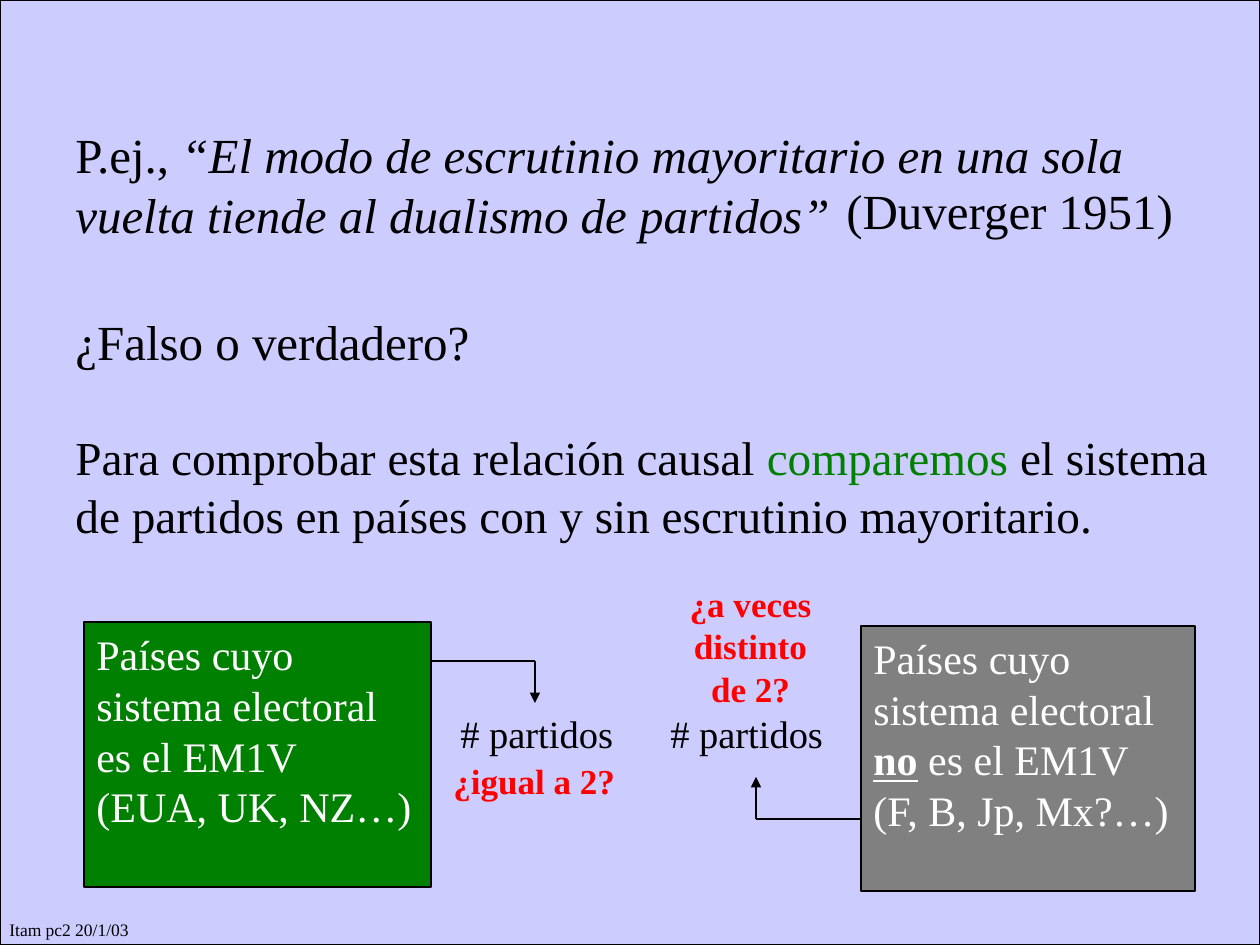
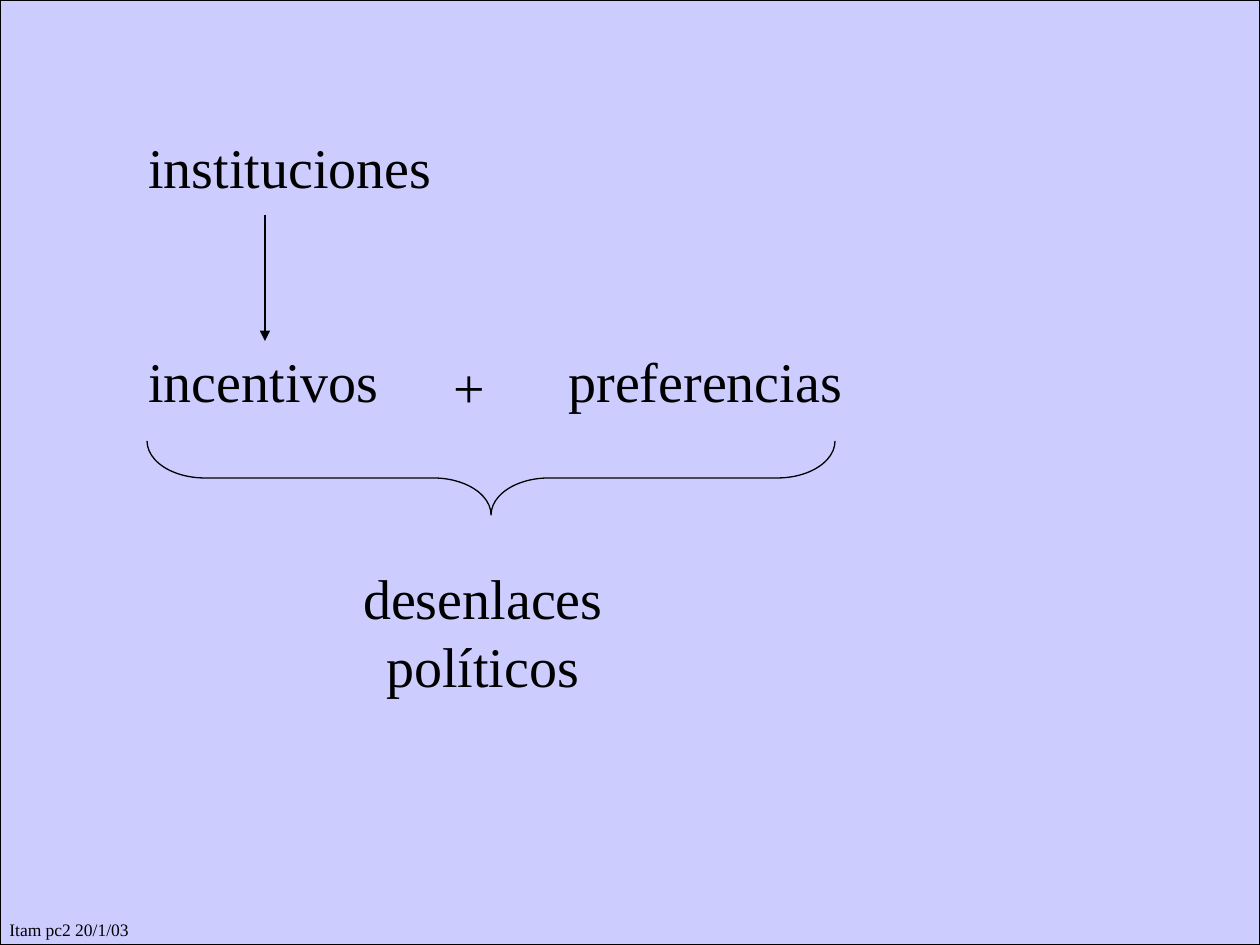
from dataclasses import dataclass, field

from lxml import etree
from pptx import Presentation
from pptx.dml.color import RGBColor
from pptx.enum.shapes import MSO_CONNECTOR, MSO_SHAPE
from pptx.enum.text import MSO_ANCHOR, PP_ALIGN
from pptx.oxml.ns import qn
from pptx.util import Emu, Pt

RECTANGLE = MSO_SHAPE.RECTANGLE
BRACE = MSO_SHAPE.RIGHT_BRACE
STRAIGHT = MSO_CONNECTOR.STRAIGHT
TOP = MSO_ANCHOR.TOP
LEFT, CENTER = PP_ALIGN.LEFT, PP_ALIGN.CENTER

LAVENDER = RGBColor(0xCC, 0xCC, 0xFF)
BLACK = RGBColor(0x00, 0x00, 0x00)
WHITE = RGBColor(0xFF, 0xFF, 0xFF)
GREEN = RGBColor(0x00, 0x80, 0x00)
GRAY = RGBColor(0x80, 0x80, 0x80)
RED = RGBColor(0xFF, 0x00, 0x00)

PX_PER_INCH = 126
SLIDE_W, SLIDE_H = 1260, 945
FONT = "Times New Roman"
LINE_HEIGHT = 1.21
LINE_WIDTH = Pt(0.75)
BLANK_LAYOUT = 6


@dataclass
class Run:
    text: str
    style: dict = field(default_factory=dict)


@dataclass
class Para:
    runs: list[Run]
    size: int
    color: RGBColor = BLACK
    align: PP_ALIGN = LEFT
    bold: bool = False
    space_before: int = 0


@dataclass
class Box:
    left: int
    top: int
    width: int
    height: int
    paras: list[Para]
    fill: RGBColor | None = None


@dataclass
class Line:
    start: tuple[int, int]
    end: tuple[int, int]
    arrow: bool = False


def px(length: int) -> Emu:
    return Emu(round(length * 914400 / PX_PER_INCH))


def outline(shape) -> None:
    shape.shadow.inherit = False
    shape.line.color.rgb = BLACK
    shape.line.width = LINE_WIDTH


def add_run(paragraph, text: str, style: dict) -> None:
    """Add a run; each newline becomes a line break."""
    for index, piece in enumerate(text.split("\n")):
        if index:
            paragraph.add_line_break()
        run = paragraph.add_run()
        run.text = piece
        for name, value in style.items():
            if name == "color":
                run.font.color.rgb = value
            else:
                setattr(run.font, name, value)


def write(frame, paras: list[Para]) -> None:
    frame.word_wrap = True
    frame.vertical_anchor = TOP
    for index, para in enumerate(paras):
        paragraph = frame.add_paragraph() if index else frame.paragraphs[0]
        layout = {"alignment": para.align,
                  "line_spacing": Pt(round(para.size * LINE_HEIGHT, 1))}
        if para.space_before:
            layout["space_before"] = Pt(para.space_before)
        for name, value in layout.items():
            setattr(paragraph, name, value)
        base = {"name": FONT, "size": Pt(para.size), "bold": para.bold,
                "color": para.color}
        for run in para.runs:
            add_run(paragraph, run.text, base | run.style)


def draw_box(slide, box: Box) -> None:
    place = [px(v) for v in (box.left, box.top, box.width, box.height)]
    if box.fill is None:
        shape = slide.shapes.add_textbox(*place)
    else:
        shape = slide.shapes.add_shape(RECTANGLE, *place)
        shape.fill.solid()
        shape.fill.fore_color.rgb = box.fill
        outline(shape)
    write(shape.text_frame, box.paras)


def draw_line(slide, line: Line) -> None:
    ends = [px(v) for v in (*line.start, *line.end)]
    connector = slide.shapes.add_connector(STRAIGHT, *ends)
    connector.line.color.rgb = BLACK
    connector.line.width = LINE_WIDTH
    if line.arrow:
        etree.SubElement(connector.line._get_or_add_ln(), qn("a:tailEnd"),
                         type="triangle")
    etree.SubElement(connector._element.spPr, qn("a:effectLst"))


def draw_brace(slide, left: int, top: int, width: int, height: int) -> None:
    """Draw a brace that points down and spans the given area."""
    center_x, center_y = left + width // 2, top + height // 2
    brace = slide.shapes.add_shape(
        BRACE, px(center_x - height // 2), px(center_y - width // 2),
        px(height), px(width))
    brace.rotation = 90
    brace.adjustments[0] = 0.78
    brace.fill.background()
    outline(brace)


def label(text: str, left: int, top: int, width: int, height: int,
          size: int, **look) -> Box:
    return Box(left, top, width, height, [Para([Run(text)], size, **look)])


def new_slide(deck):
    """Add a slide with the shared background and footer."""
    slide = deck.slides.add_slide(deck.slide_layouts[BLANK_LAYOUT])
    draw_box(slide, Box(0, 0, SLIDE_W, SLIDE_H, [], LAVENDER))
    draw_box(slide, label("Itam pc2 20/1/03", -3, 913, 168, 34, 10))
    return slide


def duverger_slide(deck) -> None:
    slide = new_slide(deck)
    quote = Para([
        Run("P.ej.,"),
        Run(" “El modo de escrutinio mayoritario en una sola vuelta "
            "tiende al dualismo de partidos”", {"italic": True}),
    ], 28)
    question = Para([Run("¿Falso o verdadero?")], 28)
    comparison = Para([
        Run("Para comprobar esta relación causal "),
        Run("comparemos", {"color": GREEN}),
        Run(" el sistema de partidos en países con y sin escrutinio "
            "mayoritario."),
    ], 27, space_before=33)
    plurality = Para([
        Run("Países cuyo\nsistema electoral\nes el EM1V\n(EUA, UK, NZ…)"),
    ], 24, WHITE)
    no_plurality = Para([
        Run("Países cuyo\nsistema electoral\n"),
        Run("no", {"bold": True, "underline": True}),
        Run(" es el EM1V\n(F, B, Jp, Mx?…)"),
    ], 24, WHITE)

    boxes = [
        # Claim, source and method
        Box(63, 118, 1166, 131, [quote]),
        label("(Duverger 1951)", 834, 174, 360, 72, 28),
        Box(63, 305, 1166, 242, [question, comparison]),
        # Two groups of countries
        Box(84, 622, 347, 265, [plurality], GREEN),
        Box(861, 626, 334, 265, [no_plurality], GRAY),
        # Expected outcomes
        label("# partidos", 448, 703, 190, 59, 22),
        label("# partidos", 658, 703, 190, 59, 22),
        label("¿igual a 2?", 441, 753, 199, 55, 20, color=RED, bold=True),
        label("¿a veces distinto\nde 2?", 672, 576, 157, 139, 20,
              color=RED, bold=True, align=CENTER),
    ]
    for box in boxes:
        draw_box(slide, box)

    # Bent arrows from each group to its outcome
    for start, corner, end in (
        ((431, 661), (535, 661), (535, 703)),
        ((861, 819), (756, 819), (756, 777)),
    ):
        draw_line(slide, Line(start, corner))
        draw_line(slide, Line(corner, end, arrow=True))


def institutions_slide(deck) -> None:
    slide = new_slide(deck)
    # Concepts
    for concept in (
        label("instituciones", 136, 126, 336, 81, 32),
        label("incentivos", 136, 340, 294, 81, 32),
        label("preferencias", 556, 340, 336, 81, 32),
        label("+", 441, 346, 63, 81, 32),
        label("desenlaces políticos", 315, 557, 336, 147, 32, align=CENTER),
    ):
        draw_box(slide, concept)
    # Causal links
    draw_line(slide, Line((265, 215), (265, 341), arrow=True))
    draw_brace(slide, 147, 441, 688, 74)


def main() -> None:
    deck = Presentation()
    deck.slide_width, deck.slide_height = px(SLIDE_W), px(SLIDE_H)
    duverger_slide(deck)
    institutions_slide(deck)
    deck.save("out.pptx")


if __name__ == "__main__":
    main()
